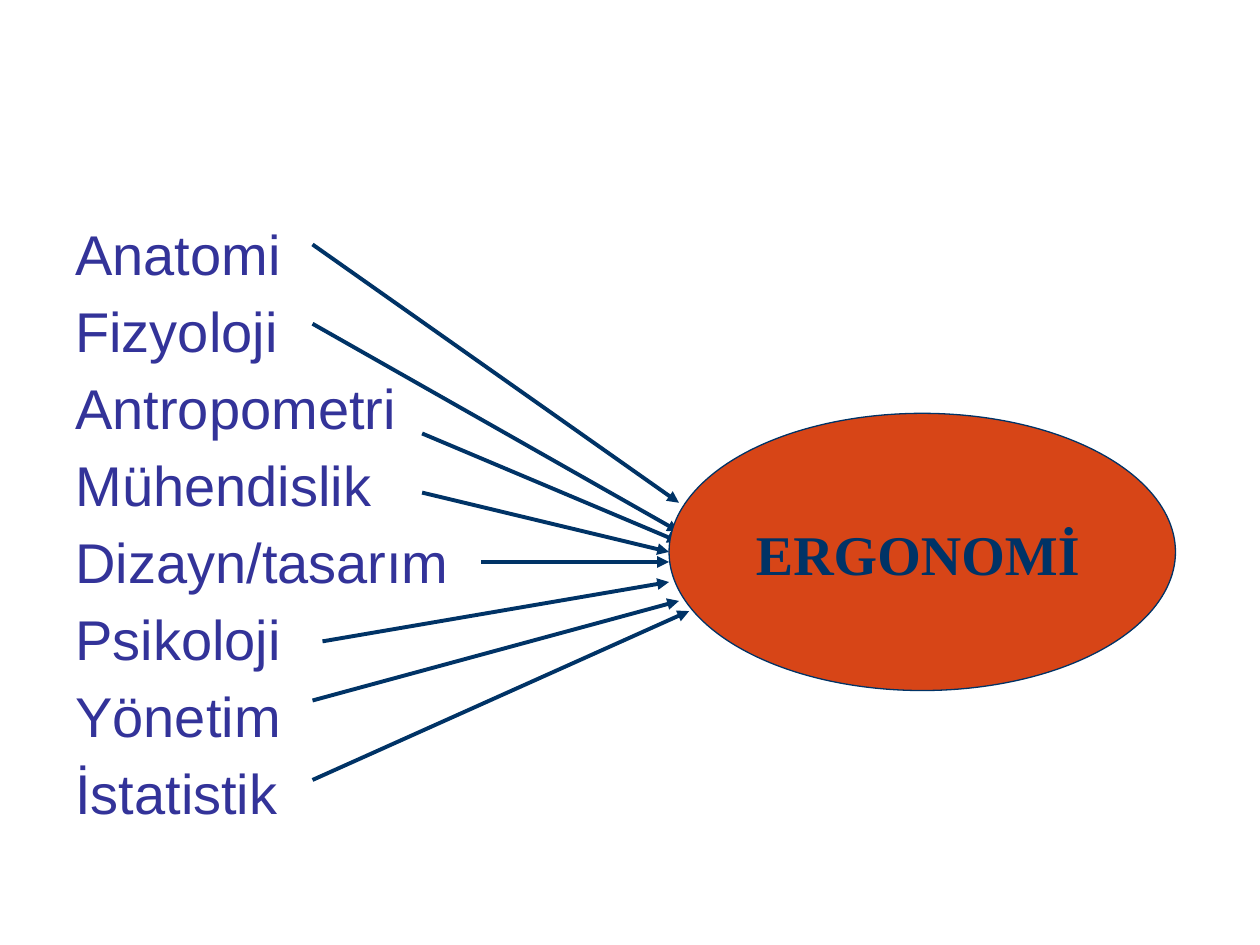
from lxml import etree
from pptx import Presentation
from pptx import util as u
from pptx.dml.color import RGBColor
from pptx.enum import shapes, text
from pptx.oxml.ns import qn

WHITE = RGBColor(0xFF, 0xFF, 0xFF)
NAVY = RGBColor(0x00, 0x33, 0x66)
INDIGO = RGBColor(0x33, 0x33, 0x99)
ORANGE = RGBColor(0xD7, 0x45, 0x17)

FIELDS = [
    ("Anatomi", (178.6, 139.7), (388, 287.3)),
    ("Fizyoloji", (178.6, 185), (388, 303.8)),
    ("Antropometri", (241.2, 247.7), (388, 309.6)),
    ("Mühendislik", (241.2, 281.5), (382.3, 315.4)),
    ("Dizayn/tasarım", (275, 321.1), (382.3, 321.1)),
    ("Psikoloji", (184.3, 366.5), (382.3, 332.6)),
    ("Yönetim", (178.6, 400.3), (388, 343.4)),
    ("İstatistik", (178.6, 445.7), (393.8, 349.2)),
]


def add_words(paragraph, words, font_name, color, bold=False):
    """Add one 32 pt run to a paragraph."""
    run = paragraph.add_run()
    run.text = words
    run.font.name = font_name
    run.font.size = u.Pt(32)
    run.font.bold = bold
    run.font.color.rgb = color
    paragraph.line_spacing = 0.9


def add_field_list(slide, left, top, width, height):
    """List the contributing fields with hanging indents."""
    fields = slide.shapes.add_textbox(u.Pt(left), u.Pt(top), u.Pt(width), u.Pt(height))
    frame = fields.text_frame
    frame.word_wrap = True
    for index, (field, _, _) in enumerate(FIELDS):
        paragraph = frame.add_paragraph() if index else frame.paragraphs[0]
        if index:
            paragraph.space_before = u.Pt(9.4)
        properties = paragraph._p.get_or_add_pPr()
        properties.set("marL", str(u.Pt(49.5)))
        properties.set("indent", str(u.Pt(-49.5)))
        add_words(paragraph, field, "Arial", INDIGO)


def add_arrow(slide, start, end):
    """Draw an arrow from a field towards the goal."""
    arrow = slide.shapes.add_connector(
        shapes.MSO_CONNECTOR.STRAIGHT, *(u.Pt(value) for value in start + end)
    )
    arrow.line.color.rgb = NAVY
    arrow.line.width = u.Pt(2.25)
    etree.SubElement(arrow.line._get_or_add_ln(), qn("a:tailEnd"), type="triangle")
    etree.SubElement(arrow._element.spPr, qn("a:effectLst"))


def add_goal(slide, left, top, width, height):
    """Draw the ellipse in which the fields meet."""
    goal = slide.shapes.add_shape(
        shapes.MSO_SHAPE.OVAL, u.Pt(left), u.Pt(top), u.Pt(width), u.Pt(height)
    )
    goal.shadow.inherit = False
    goal.fill.solid()
    goal.fill.fore_color.rgb = ORANGE
    goal.line.color.rgb = NAVY
    goal.line.width = u.Pt(0.75)
    frame = goal.text_frame
    frame.word_wrap = False
    frame.vertical_anchor = text.MSO_ANCHOR.MIDDLE
    frame.margin_top = u.Pt(9.6)
    frame.margin_right = u.Pt(12)
    paragraph = frame.paragraphs[0]
    paragraph.alignment = text.PP_ALIGN.CENTER
    add_words(paragraph, "ERGONOMİ", "Times New Roman", NAVY, bold=True)


def main():
    """Build and save the slide."""
    deck = Presentation()
    deck.slide_width, deck.slide_height = u.Pt(720), u.Pt(540)
    slide = deck.slides.add_slide(deck.slide_layouts[6])
    slide.background.fill.solid()
    slide.background.fill.fore_color.rgb = WHITE
    add_field_list(slide, 36, 126, 648, 356.4)
    for _, start, end in FIELDS:
        add_arrow(slide, start, end)
    add_goal(slide, 382.3, 236.2, 289.4, 158.4)
    deck.save("out.pptx")


if __name__ == "__main__":
    main()
